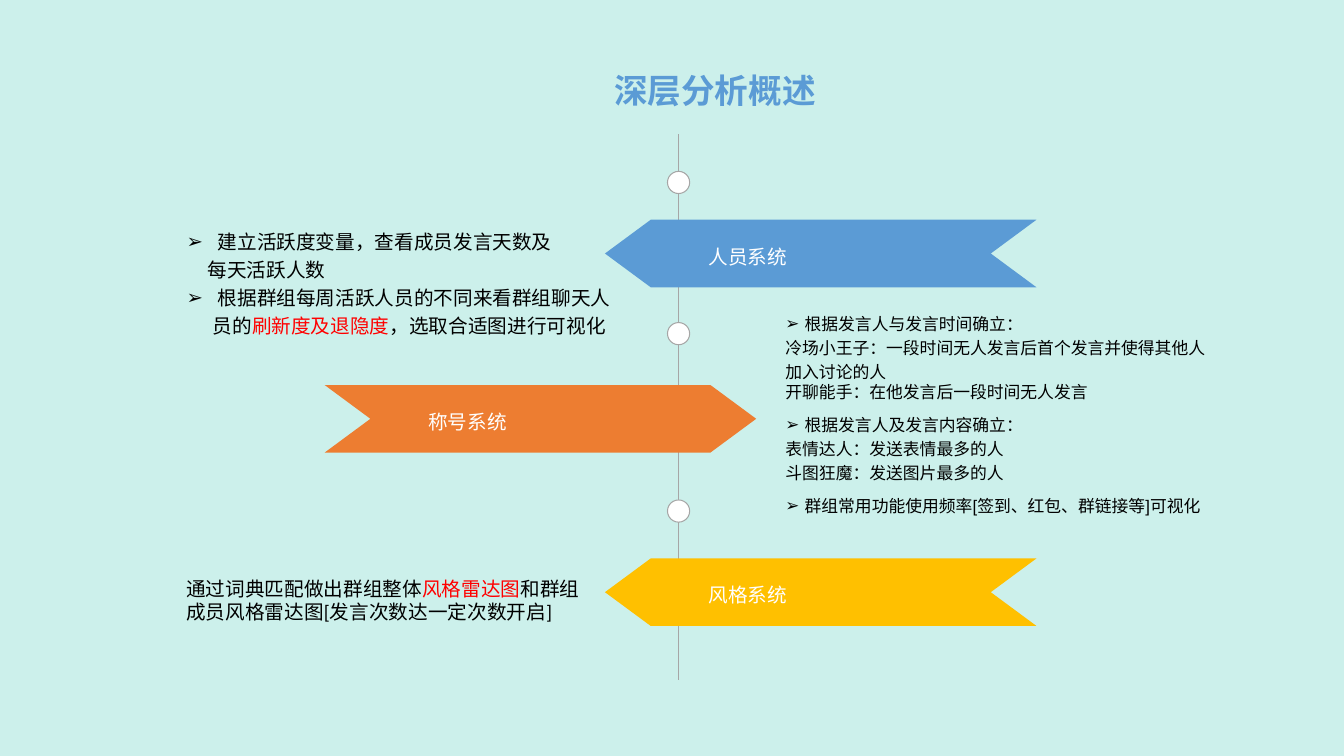
import pptx
import pptx.util
import pptx.dml.color
import pptx.enum.shapes
import pptx.enum.text
import pptx.oxml.ns
import lxml.etree

Inches = pptx.util.Inches
RGBColor = pptx.dml.color.RGBColor
SHAPE = pptx.enum.shapes.MSO_SHAPE
ALIGN = pptx.enum.text.PP_ALIGN

MINT = RGBColor(0xCC, 0xF0, 0xEB)
BLUE = RGBColor(0x5B, 0x9B, 0xD5)
ORANGE = RGBColor(0xED, 0x7D, 0x31)
GOLD = RGBColor(0xFF, 0xC0, 0x00)
GREY = RGBColor(0xA6, 0xA6, 0xA6)
RED = RGBColor(0xFF, 0x00, 0x00)
BLACK = RGBColor(0x00, 0x00, 0x00)
WHITE = RGBColor(0xFF, 0xFF, 0xFF)
CJK = "Noto Sans CJK SC"


def sub(parent, tag, **attrs):
    return lxml.etree.SubElement(parent, pptx.oxml.ns.qn(tag), **attrs)


def set_frame(sp, box, wrap=False):
    sp.left, sp.top, sp.width, sp.height = map(Inches, box)
    tf = sp.text_frame
    tf.word_wrap = wrap
    tf.auto_size = pptx.enum.text.MSO_AUTO_SIZE.NONE
    tf.vertical_anchor = pptx.enum.text.MSO_ANCHOR.TOP
    return tf


def add_runs(p, runs, size, font, bold=False):
    for text, color in runs:
        r = p.add_run()
        r.text = text
        r.font.size = pptx.util.Pt(size)
        r.font.name = font
        r.font.bold = bold
        r.font.color.rgb = color
        sub(r.font._element, "a:ea", typeface=CJK)


def format_paragraph(p, spacing=1.0, after=0, margin=0, bullet=False, align=ALIGN.LEFT):
    p.alignment = align
    p.line_spacing = spacing
    p.space_before = pptx.util.Pt(0)
    p.space_after = pptx.util.Pt(after)
    pPr = p._p.get_or_add_pPr()
    pPr.set("marL", str(Inches(margin)))
    pPr.set("indent", str(-Inches(margin) if bullet else 0))
    if bullet:
        sub(pPr, "a:buFont", typeface="Arial")
        sub(pPr, "a:buChar", char="➢")
    else:
        sub(pPr, "a:buNone")


def fill_text(sp, box, paragraphs, size, font, wrap=False, bold=False):
    """Each paragraph is a list of (text, colour) runs and a dict of formatting."""
    tf = set_frame(sp, box, wrap)
    for i, (runs, style) in enumerate(paragraphs):
        p = tf.paragraphs[0] if i == 0 else tf.add_paragraph()
        format_paragraph(p, **style)
        add_runs(p, runs, size, font, bold)


def add_timeline(slide, box, circle_tops, diameter=0.22):
    left, top, width, height = box
    x = left + width / 2
    # Vertical axis
    line = slide.shapes.add_connector(
        pptx.enum.shapes.MSO_CONNECTOR.STRAIGHT,
        Inches(x), Inches(top), Inches(x), Inches(top + height))
    line.line.color.rgb = GREY
    line.line.width = pptx.util.Pt(0.75)
    sub(line._element.spPr, "a:effectLst")
    # Nodes
    for offset in circle_tops:
        sp = slide.shapes.add_shape(
            SHAPE.OVAL, Inches(x - diameter / 2), Inches(top + offset),
            Inches(diameter), Inches(diameter))
        sp.shadow.inherit = False
        sp.fill.solid()
        sp.fill.fore_color.rgb = WHITE
        sp.line.color.rgb = GREY
        sp.line.width = pptx.util.Pt(0.75)


def add_banner(slide, box, label, color, rotation):
    left, top, width, height = box
    sp = slide.shapes.add_shape(SHAPE.CHEVRON, *map(Inches, box))
    sp.adjustments[0] = 0.677
    sp.rotation = rotation
    sp.shadow.inherit = False
    sp.fill.solid()
    sp.fill.fore_color.rgb = color
    sp.line.fill.background()
    # Label
    tb = slide.shapes.add_textbox(0, 0, 0, 0)
    fill_text(tb, (left + 0.93, top + 0.15, 0.99, 0.36),
              [([(label, WHITE)], dict(spacing=1.2, align=ALIGN.JUSTIFY))], 14, "Arial")


def add_title(slide, box):
    fill_text(slide.shapes.title, box, [([("深层分析概述", BLUE)], {})], 24, CJK, bold=True)


def add_member_notes(slide, box):
    bullet = dict(spacing=1.2, margin=0.31, bullet=True)
    fill_text(slide.placeholders[1], box, [
        ([("建立活跃度变量，查看成员发言天数及", BLACK)], bullet),
        ([("每天活跃人数", BLACK)], dict(spacing=1.2, margin=0.21)),
        ([("根据群组每周活跃人员的不同来看群组聊天人", BLACK)], bullet),
        ([("员的", BLACK), ("刷新度及退隐度", RED), ("，选取合适图进行可视化", BLACK)],
         dict(spacing=1.2, margin=0.26)),
    ], 14, CJK)


def add_badge_notes(slide, box):
    bullet = dict(spacing=1.2, margin=0.19, bullet=True)
    plain = dict(spacing=1.2)
    rows = [
        ("根据发言人与发言时间确立：", bullet),
        ("冷场小王子：一段时间无人发言后首个发言并使得其他人加入讨论的人", plain),
        ("开聊能手：在他发言后一段时间无人发言", dict(after=6)),
        ("根据发言人及发言内容确立：", bullet),
        ("表情达人：发送表情最多的人", plain),
        ("斗图狂魔：发送图片最多的人", dict(spacing=1.2, after=6)),
        ("群组常用功能使用频率[签到、红包、群链接等]可视化", bullet),
    ]
    fill_text(slide.placeholders[2], box,
              [([(text, BLACK)], style) for text, style in rows], 12, "Arial", wrap=True)


def add_style_notes(slide, box):
    tb = slide.shapes.add_textbox(0, 0, 0, 0)
    fill_text(tb, box, [
        ([("通过词典匹配做出群组整体", BLACK), ("风格雷达图", RED), ("和群组", BLACK)], {}),
        ([("成员风格雷达图[发言次数达一定次数开启]", BLACK)], {}),
    ], 14, "Calibri")


def main():
    prs = pptx.Presentation()
    prs.slide_width, prs.slide_height = Inches(13.33), Inches(7.5)
    slide = prs.slides.add_slide(prs.slide_layouts[3])
    slide.background.fill.solid()
    slide.background.fill.fore_color.rgb = MINT

    add_title(slide, (5.99, 0.64, 2.27, 0.5))
    add_timeline(slide, (6.62, 1.33, 0.22, 5.42), (0.37, 1.87, 3.63))
    add_member_notes(slide, (1.75, 2.18, 4.44, 1.23))
    add_badge_notes(slide, (7.69, 3.02, 4.44, 2.17))
    add_style_notes(slide, (1.75, 5.67, 4.13, 0.57))

    # Banners
    for left, top, label, color, rotation in (
            (6, 2.18, "人员系统", BLUE, 180),
            (3.22, 3.82, "称号系统", ORANGE, 0),
            (6, 5.54, "风格系统", GOLD, 180)):
        add_banner(slide, (left, top, 4.28, 0.67), label, color, rotation)

    prs.save("out.pptx")


if __name__ == "__main__":
    main()
